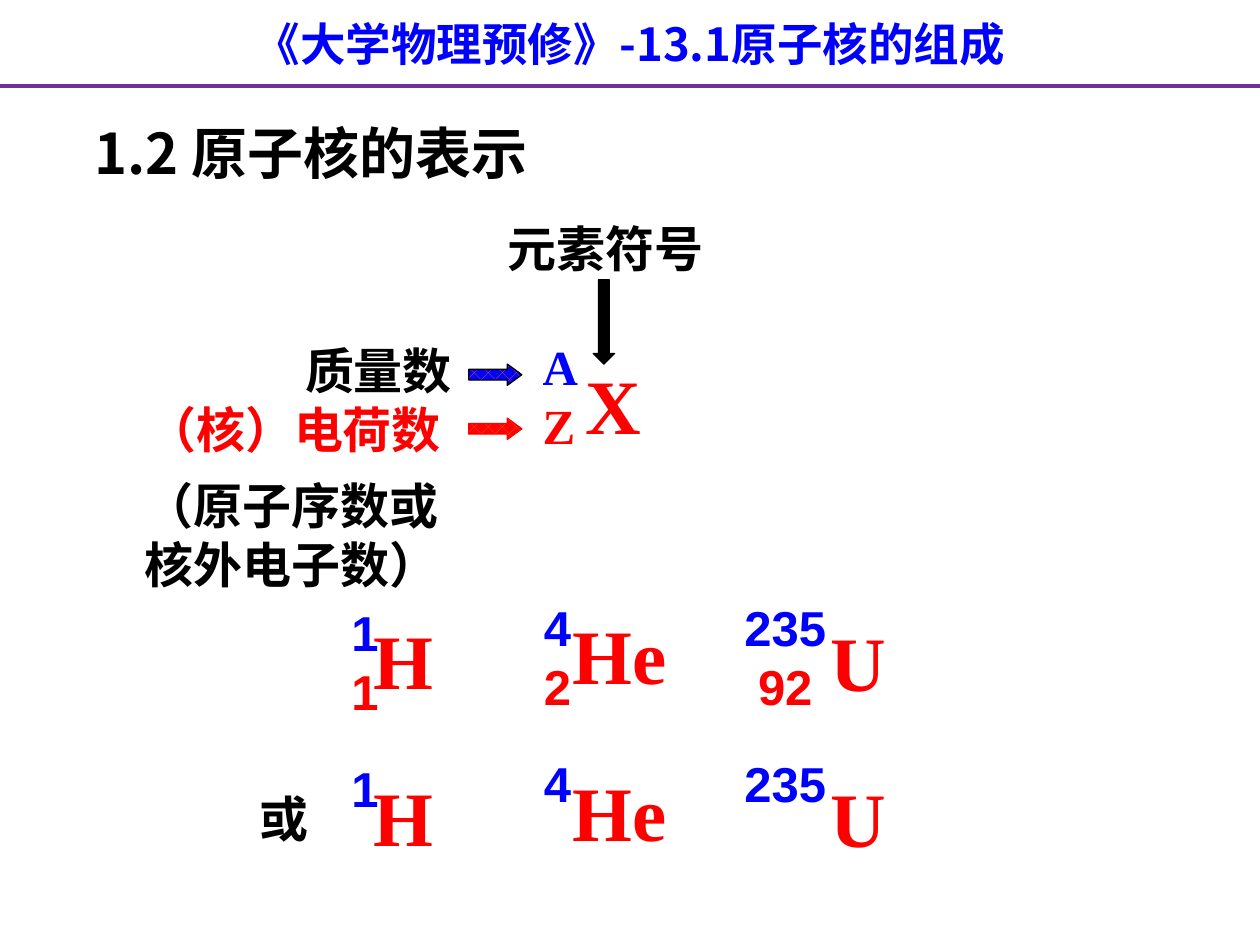
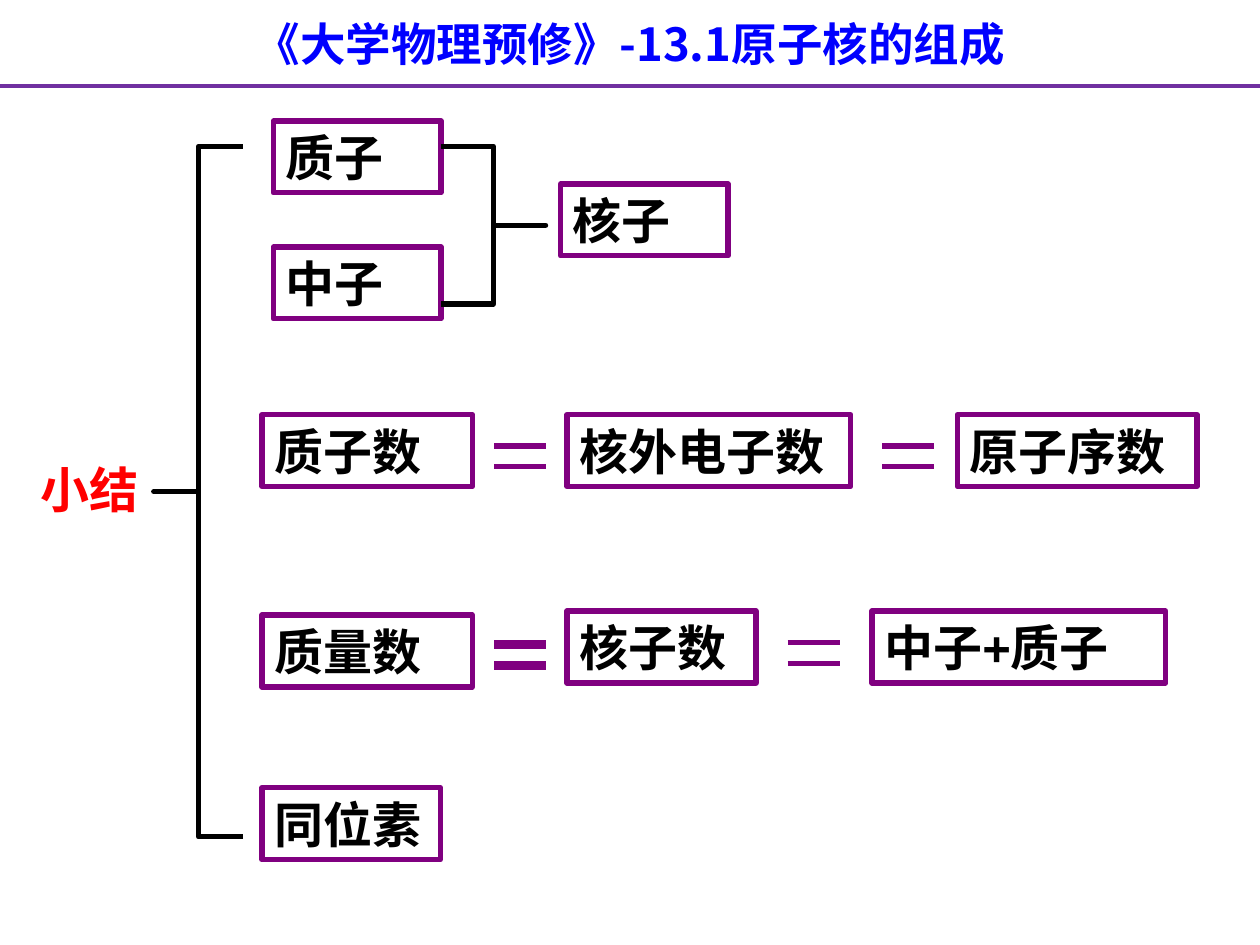
from pptx import Presentation, util as u
from pptx.dml.color import RGBColor
from pptx.enum import dml, shapes, text
from pptx.oxml.ns import qn
from lxml import etree

COLORS = {"white": "FFFFFF", "black": "000000", "blue": "0000FF", "red": "FF0000",
          "orange": "FF6600", "rule": "7030A0", "purple": "800080"}
CJK, SANS, SERIF = "Noto Sans CJK SC", "Arial", "Times New Roman"
SLIDE_W, SLIDE_H = 25.4, 19.05
COURSE_TITLE = "《大学物理预修》-13.1原子核的组成"
BOX_H = 1.45


def rgb(color):
    return RGBColor.from_string(COLORS[color])


def write(shape, lines, size, font, align=text.PP_ALIGN.LEFT, wrap=True,
          anchor=text.MSO_ANCHOR.TOP, insets=(0.25, 0.13)):
    frame = shape.text_frame
    frame.word_wrap = wrap
    frame.vertical_anchor = anchor
    frame.margin_left = frame.margin_right = u.Cm(insets[0])
    frame.margin_top = frame.margin_bottom = u.Cm(insets[1])
    for index, (words, color) in enumerate(lines):
        paragraph = frame.add_paragraph() if index else frame.paragraphs[0]
        paragraph.alignment = align
        run = paragraph.add_run()
        run.text = words
        run.font.size = u.Pt(size)
        run.font.bold = True
        run.font.name = font
        run.font.color.rgb = rgb(color)
        east_asian = etree.SubElement(run._r.get_or_add_rPr(), qn("a:ea"))
        east_asian.set("typeface", CJK)


def add_label(slide, box, lines, size=28, font=SANS, **layout):
    label = slide.shapes.add_textbox(*map(u.Cm, box))
    write(label, lines, size, font, **layout)


def add_figure(slide, kind, box, line_color, line_width, adjustments=()):
    figure = slide.shapes.add_shape(kind, *map(u.Cm, box))
    figure.shadow.inherit = False
    figure.fill.background()
    figure.line.color.rgb = rgb(line_color)
    figure.line.width = u.Pt(line_width)
    for index, value in enumerate(adjustments):
        figure.adjustments[index] = value
    return figure


def add_rule(slide, left, top, width, color, weight):
    rule = slide.shapes.add_connector(
        shapes.MSO_CONNECTOR.STRAIGHT, *map(u.Cm, (left, top, left + width, top)))
    rule.line.color.rgb = rgb(color)
    rule.line.width = u.Pt(weight)
    etree.SubElement(rule._element.spPr, qn("a:effectLst"))


def add_course_slide(deck):
    slide = deck.slides.add_slide(deck.slide_layouts[6])
    add_label(slide, (0, 0.2, SLIDE_W, 1.37), [(COURSE_TITLE, "blue")], 26, CJK,
              align=text.PP_ALIGN.CENTER)
    add_rule(slide, 0, 1.73, SLIDE_W, "rule", 2.25)
    return slide


def add_number_arrow(slide, left, top, line_color, back_color):
    arrow = add_figure(slide, shapes.MSO_SHAPE.RIGHT_ARROW, (left, top, 1.07, 0.43),
                       line_color, 0.75, (0.5, 0.68))
    arrow.fill.patterned()
    arrow.fill.pattern = dml.MSO_PATTERN.PERCENT_25
    arrow.fill.fore_color.rgb = rgb("orange")
    arrow.fill.back_color.rgb = rgb(back_color)


def add_symbol(slide, left, top, symbol):
    add_label(slide, (left, top, 3.6, 2.54), [(symbol, "red")], 44, SERIF,
              wrap=False, anchor=text.MSO_ANCHOR.MIDDLE)


def add_notation(slide, left, top):
    add_label(slide, (left + 7.29, top, 4.6, 1.27), [("元素符号", "black")],
              wrap=False, anchor=text.MSO_ANCHOR.MIDDLE)
    pointer = add_figure(slide, shapes.MSO_SHAPE.DOWN_ARROW,
                         (left + 9.27, top + 1.27, 0.43, 1.7), "black", 0.75)
    pointer.fill.solid()
    pointer.fill.fore_color.rgb = rgb("black")
    add_symbol(slide, left + 8.86, top + 2.49, "X")
    add_label(slide, (left + 8, top + 2.34, 2.74, 2.54), [("A", "blue"), ("Z", "red")],
              font=SERIF, wrap=False, anchor=text.MSO_ANCHOR.MIDDLE)
    add_label(slide, (left + 3.18, top + 2.34, 3.56, 1.47), [("质量数", "black")],
              wrap=False, insets=(0.28, 0.15))
    add_number_arrow(slide, left + 6.76, top + 2.97, "black", "blue")
    add_label(slide, (left, top + 3.53, 6.55, 1.47), [("（核）电荷数", "red")],
              wrap=False, insets=(0.28, 0.15))
    add_number_arrow(slide, left + 6.76, top + 4.06, "red", "red")
    add_label(slide, (left, top + 5.08, 7.16, 2.62), [("（原子序数或核外电子数）", "black")],
              insets=(0.23, 0.13))


def add_nuclides(slide, left, top, with_charge):
    nuclides = [("H", "1", "1", 0, 0.1, 0.46, 0.1),
                ("He", "4", "2", 3.88, 0, 0.59, 0),
                ("U", "235", "92", 7.92, 0, 1.75, 0.13)]
    for symbol, mass, charge, dx, number_dy, symbol_dx, symbol_dy in nuclides:
        numbers = [(mass, "blue")] + [(charge, "red")] * with_charge
        add_symbol(slide, left + dx + symbol_dx, top + symbol_dy, symbol)
        add_label(slide, (left + dx, top + number_dy, 0.51 + 0.55 * len(mass), 2.54),
                  numbers, wrap=False, align=text.PP_ALIGN.CENTER)


def build_notation_slide(deck):
    slide = add_course_slide(deck)
    add_label(slide, (1.65, 2.26, 18.4, 1.63), [("1.2 原子核的表示", "black")], 32, CJK)
    add_notation(slide, 2.69, 4.37)
    add_nuclides(slide, 6.83, 11.91, True)
    add_nuclides(slide, 6.83, 15.07, False)
    add_label(slide, (5, 15.77, 1.9, 1.42), [("或", "black")], insets=(0.23, 0.13))


def add_term(slide, left, top, width, term):
    box = add_figure(slide, shapes.MSO_SHAPE.RECTANGLE, (left, top, width, BOX_H),
                     "purple", 3)
    box.fill.solid()
    box.fill.fore_color.rgb = rgb("white")
    write(box, [(term, "black")], 28, SANS)


def add_equals(slide, left, top):
    for bar in range(2):
        add_rule(slide, left, top + 0.42 * bar, 1.05, "purple", 3)


def add_nucleons(slide, left, top):
    for dx, dy, term in [(0, 0, "质子"), (0, 2.54, "中子"), (5.79, 1.27, "核子")]:
        add_term(slide, left + dx, top + dy, 3.38, term)
    add_figure(slide, shapes.MSO_SHAPE.RIGHT_BRACE, (left + 3.38, top + 0.51, 2.11, 3.18),
               "black", 3, (0, 0.5))


def add_equation(slide, top, terms, equals_lefts):
    for left, width, term in terms:
        add_term(slide, left, top, width, term)
    for left in equals_lefts:
        add_equals(slide, left, top + 0.63)


def build_summary_slide(deck):
    slide = add_course_slide(deck)
    add_label(slide, (0.58, 9.14, 3.45, 1.42), [("小结", "red")], insets=(0.23, 0.13))
    add_figure(slide, shapes.MSO_SHAPE.LEFT_BRACE, (3.1, 2.95, 1.8, 13.92),
               "black", 3, (0, 0.5))
    add_nucleons(slide, 5.51, 2.44)
    add_equation(slide, 8.36, [(5.28, 4.24, "质子数"), (11.43, 5.72, "核外电子数"),
                               (19.3, 4.83, "原子序数")], [9.96, 17.78])
    add_equation(slide, 12.4, [(5.28, 4.24, "质量数")], [9.96])
    add_equation(slide, 12.32, [(11.43, 3.81, "核子数"), (17.58, 5.92, "中子+质子")],
                 [9.96, 15.88])
    add_term(slide, 5.28, 15.88, 3.6, "同位素")


def main():
    deck = Presentation()
    deck.slide_width, deck.slide_height = u.Cm(SLIDE_W), u.Cm(SLIDE_H)
    build_notation_slide(deck)
    build_summary_slide(deck)
    deck.save("out.pptx")


if __name__ == "__main__":
    main()
